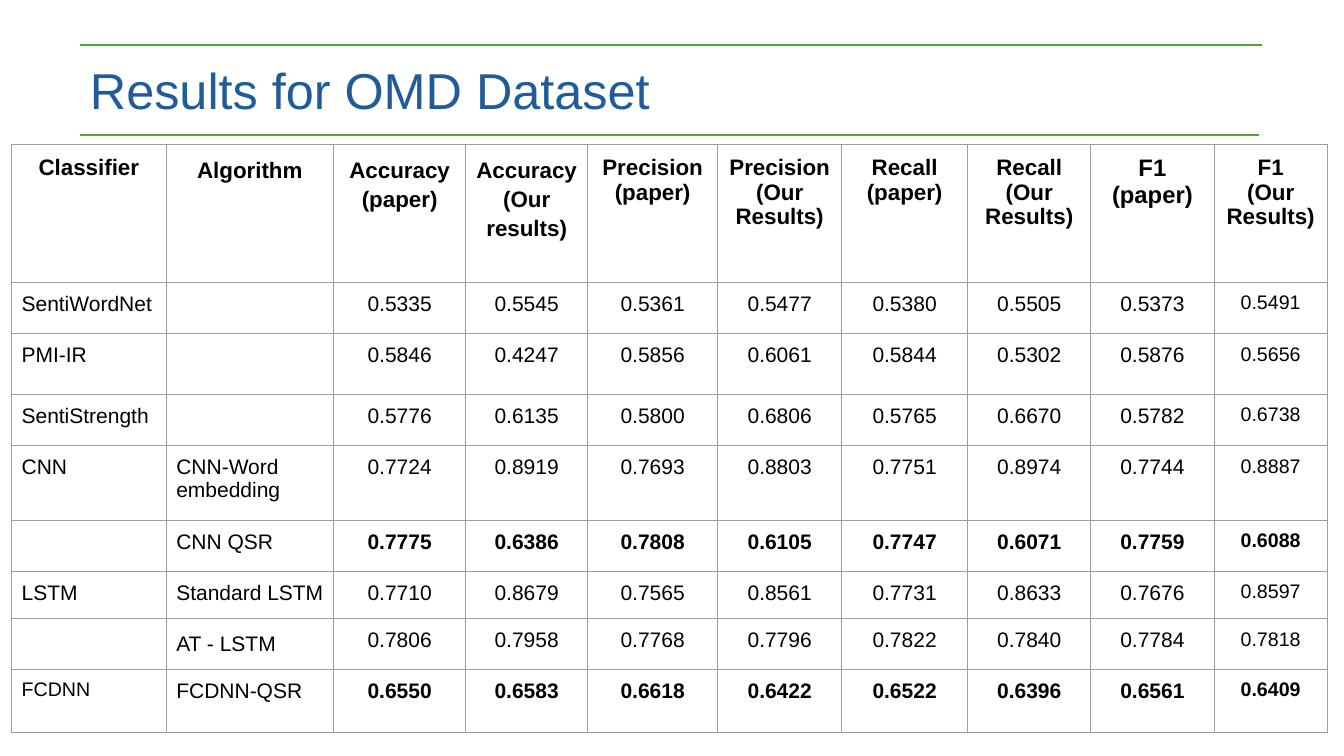
import pptx
import pptx.util
import pptx.dml.color
import pptx.enum.shapes
import pptx.enum.text
import pptx.oxml
import pptx.oxml.ns
from dataclasses import dataclass
from pptx.util import Pt

TITLE = "Results for OMD Dataset"
HEADER = ["Classifier", "Algorithm", "Accuracy\n(paper)", "Accuracy\n(Our results)",
          "Precision\n(paper)", "Precision\n(Our Results)", "Recall\n(paper)",
          "Recall\n(Our Results)", "F1\n(paper)", "F1\n(Our Results)"]
RESULTS = [
    ("SentiWordNet", "", 0.5335, 0.5545, 0.5361, 0.5477, 0.5380, 0.5505, 0.5373, 0.5491),
    ("PMI-IR", "", 0.5846, 0.4247, 0.5856, 0.6061, 0.5844, 0.5302, 0.5876, 0.5656),
    ("SentiStrength", "", 0.5776, 0.6135, 0.5800, 0.6806, 0.5765, 0.6670, 0.5782, 0.6738),
    ("CNN", "CNN-Word embedding", 0.7724, 0.8919, 0.7693, 0.8803, 0.7751, 0.8974, 0.7744, 0.8887),
    ("", "CNN QSR", 0.7775, 0.6386, 0.7808, 0.6105, 0.7747, 0.6071, 0.7759, 0.6088),
    ("LSTM", "Standard LSTM", 0.7710, 0.8679, 0.7565, 0.8561, 0.7731, 0.8633, 0.7676, 0.8597),
    ("", "AT - LSTM", 0.7806, 0.7958, 0.7768, 0.7796, 0.7822, 0.7840, 0.7784, 0.7818),
    ("FCDNN", "FCDNN-QSR", 0.6550, 0.6583, 0.6618, 0.6422, 0.6522, 0.6396, 0.6561, 0.6409),
]
BOLD_ALGORITHMS = {"CNN QSR", "FCDNN-QSR"}
LOOSE_TEXTS = {"AT - LSTM", *HEADER[1:4]}
COL_WIDTHS = [110.5, 119.5, 94.5, 87, 93, 88.5, 90, 88, 88, 81]
ROW_HEIGHTS = [98, 37, 43, 36.5, 53.5, 36.5, 34, 36, 45.5]
TABLE_LEFT, TABLE_TOP = 8.25, 103.5
RULE_LEFT = 57
RULES = [(32.25, 901.5), (96.5, 899.25)]


@dataclass(frozen=True)
class Theme:
    font: str = "Arial"
    title: str = "1F5C99"
    text: str = "000000"
    rule: str = "4EA72E"
    grid: str = "9E9E9E"
    title_size: float = 36
    header_size: float = 16
    wide_header_size: float = 17
    body_size: float = 15
    small_size: float = 14
    rule_width: float = 1.5
    grid_width: float = 0.75
    cell_margin: float = 7.2


THEME = Theme()
ALIGN = pptx.enum.text.PP_ALIGN


def write(tf, text, size=THEME.body_size, color=THEME.text, bold=False,
          align=ALIGN.LEFT, spacing=1.0):
    for i, line in enumerate(text.split("\n")):
        p = tf.paragraphs[0] if i == 0 else tf.add_paragraph()
        p.alignment = align
        p.line_spacing = spacing
        r = p.add_run()
        r.text = line
        r.font.name = THEME.font
        r.font.size = Pt(size)
        r.font.bold = bold
        r.font.color.rgb = pptx.dml.color.RGBColor.from_string(color)


def add_title(s):
    sp = s.shapes.title
    sp.left, sp.top, sp.width, sp.height = Pt(57), Pt(38), Pt(692.5), Pt(51)
    tf = sp.text_frame
    tf.word_wrap = True
    tf.auto_size = pptx.enum.text.MSO_AUTO_SIZE.SHAPE_TO_FIT_TEXT
    tf.vertical_anchor = pptx.enum.text.MSO_ANCHOR.MIDDLE
    write(tf, TITLE, size=THEME.title_size, color=THEME.title)


def add_rule(s, y, right):
    line = s.shapes.add_connector(pptx.enum.shapes.MSO_CONNECTOR.STRAIGHT,
                                  Pt(RULE_LEFT), Pt(y), Pt(right), Pt(y))
    line.line.color.rgb = pptx.dml.color.RGBColor.from_string(THEME.rule)
    line.line.width = Pt(THEME.rule_width)
    pptx.oxml.ns.qn("a:effectLst")
    line._element.spPr.append(pptx.oxml.parse_xml(
        f'<a:effectLst {pptx.oxml.ns.nsdecls("a")}/>'))


def format_cell(cell):
    margin = Pt(THEME.cell_margin)
    cell.margin_left = cell.margin_right = cell.margin_top = cell.margin_bottom = margin
    tc_pr = cell._tc.get_or_add_tcPr()
    for side in ("lnL", "lnR", "lnT", "lnB"):
        tc_pr.append(pptx.oxml.parse_xml(
            f'<a:{side} {pptx.oxml.ns.nsdecls("a")} w="{Pt(THEME.grid_width)}">'
            f'<a:solidFill><a:srgbClr val="{THEME.grid}"/></a:solidFill></a:{side}>'))
    cell.fill.background()


def cell_size(row, col, text):
    if row == 0:
        return THEME.wide_header_size if text == "F1\n(paper)" else THEME.header_size
    small = col == len(HEADER) - 1 or text == "FCDNN"
    return THEME.small_size if small else THEME.body_size


def add_results(s):
    rows = [HEADER] + RESULTS
    table = s.shapes.add_table(len(rows), len(HEADER), Pt(TABLE_LEFT), Pt(TABLE_TOP),
                               Pt(sum(COL_WIDTHS)), Pt(sum(ROW_HEIGHTS))).table
    table.first_row = table.horz_banding = False
    for column, width in zip(table.columns, COL_WIDTHS):
        column.width = Pt(width)
    for i, (values, height) in enumerate(zip(rows, ROW_HEIGHTS)):
        table.rows[i].height = Pt(height)
        for j, value in enumerate(values):
            cell = table.cell(i, j)
            format_cell(cell)
            text = value if isinstance(value, str) else f"{value:.4f}"
            if text:
                write(cell.text_frame, text, size=cell_size(i, j, text),
                      bold=i == 0 or (j > 1 and values[1] in BOLD_ALGORITHMS),
                      align=ALIGN.CENTER if i == 0 or j > 1 else ALIGN.LEFT,
                      spacing=1.15 if text in LOOSE_TEXTS else 1.0)


def main():
    """Build the slide of classifier results and save it."""
    prs = pptx.Presentation()
    prs.slide_width, prs.slide_height = Pt(960), Pt(540)
    s = prs.slides.add_slide(prs.slide_layouts[5])
    for y, right in RULES:
        add_rule(s, y, right)
    add_title(s)
    add_results(s)
    prs.save("out.pptx")


if __name__ == "__main__":
    main()
